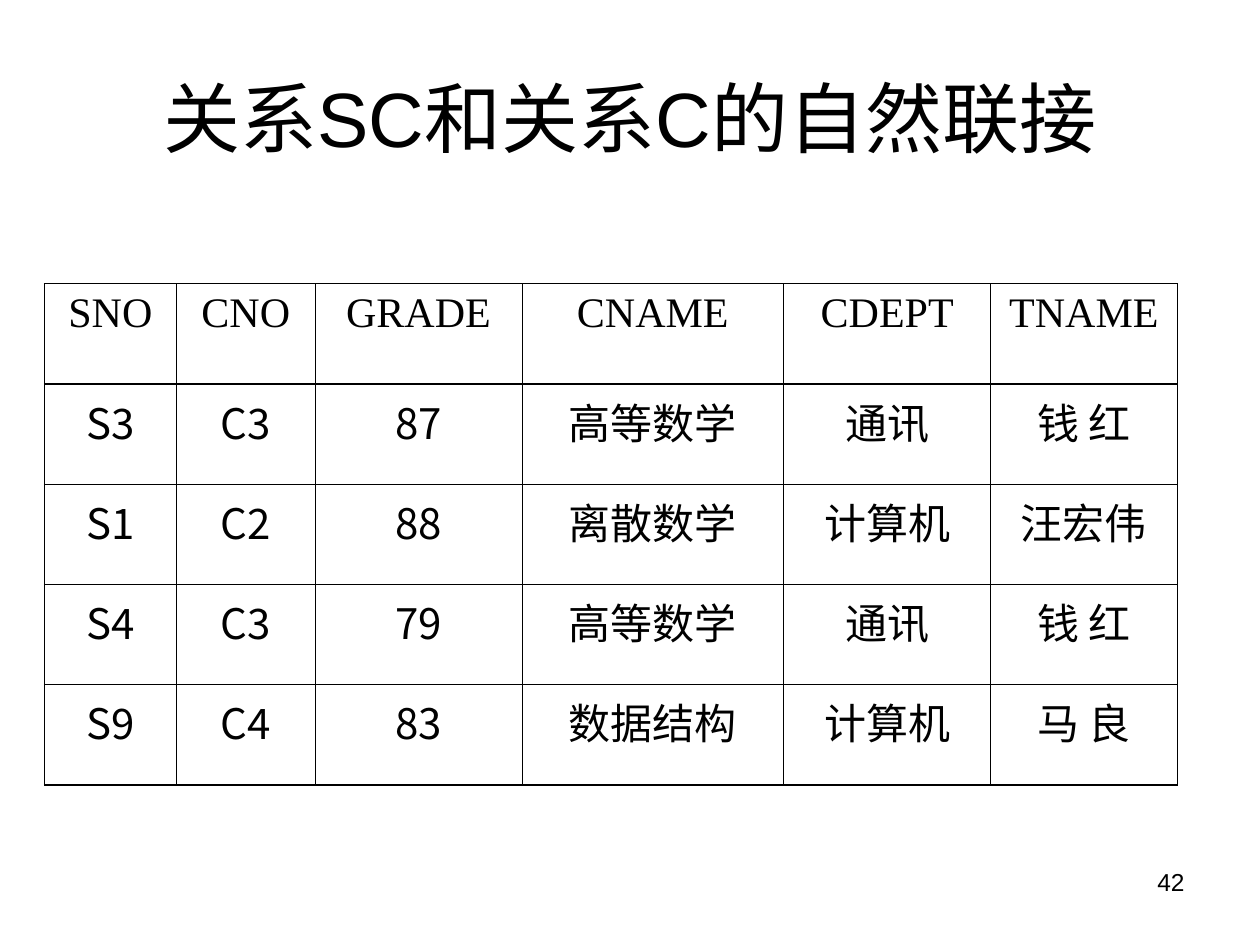
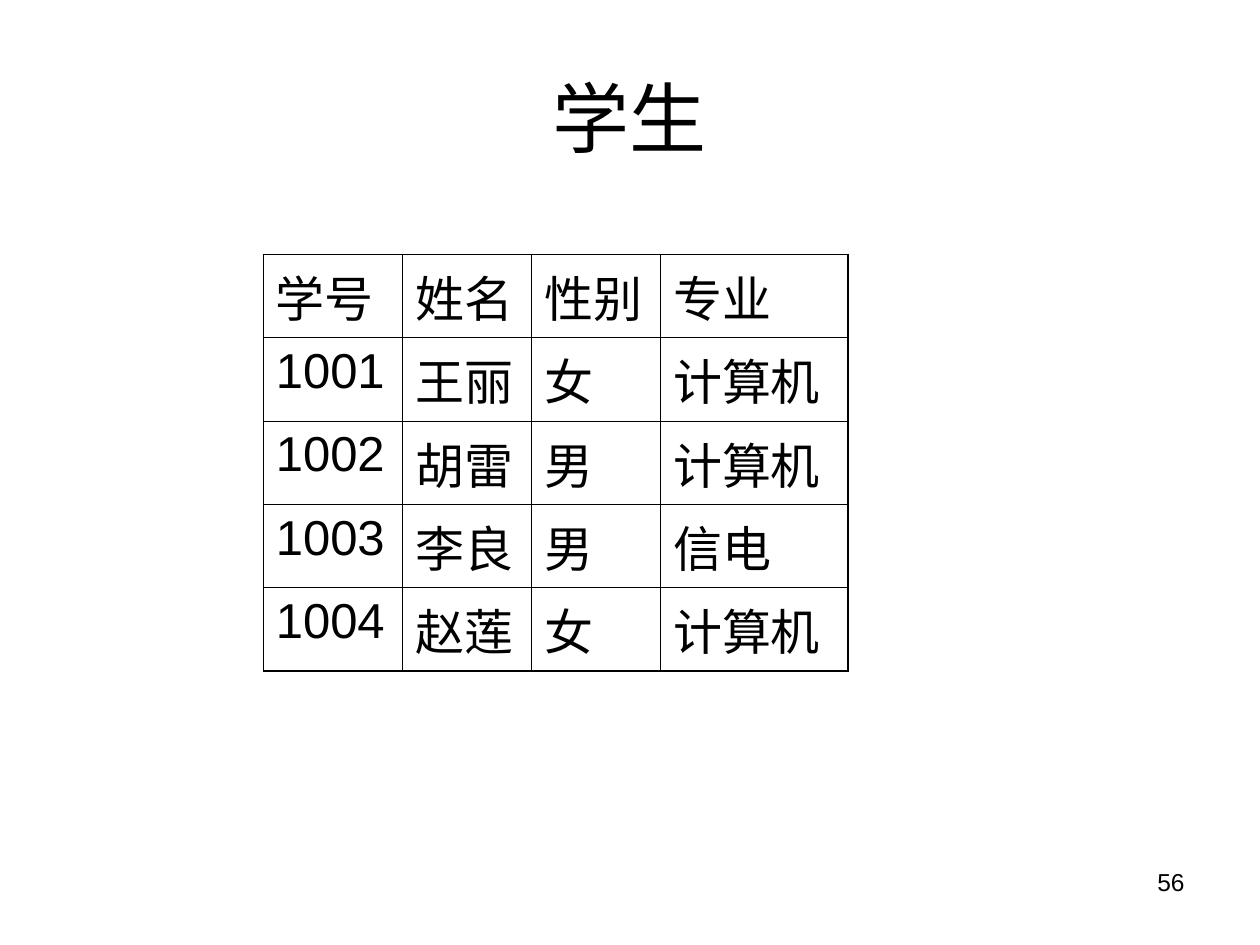
from dataclasses import dataclass
from typing import Any

from lxml import etree
from pptx import Presentation
from pptx import util as u
from pptx.dml.color import RGBColor
from pptx.enum import text
from pptx.oxml import ns

BLACK = RGBColor(0, 0, 0)
WHITE = RGBColor(255, 255, 255)
ARIAL = "Arial"
TIMES = "Times New Roman"
NOTO = "Noto Sans CJK SC"
LEFT = text.PP_ALIGN.LEFT
CENTER = text.PP_ALIGN.CENTER
RIGHT = text.PP_ALIGN.RIGHT
TOP = text.MSO_ANCHOR.TOP
MIDDLE = text.MSO_ANCHOR.MIDDLE
MARGINS = {
    "margin_left": u.Cm(0.25),
    "margin_right": u.Cm(0.25),
    "margin_top": u.Cm(0.13),
    "margin_bottom": u.Cm(0.13),
}
THIN = 0.45


@dataclass(frozen=True)
class Label:
    left: float
    top: float
    width: float
    height: float
    size: int
    align: Any
    anchor: Any


@dataclass(frozen=True)
class Borders:
    side: float
    top: float
    bottom: float
    under_header: float
    corner_top: float


@dataclass(frozen=True)
class Relation:
    title: str
    number: str
    left: float
    top: float
    row_height: float
    widths: tuple[float, ...]
    rows: tuple[tuple[str, ...], ...]
    size: int
    align: Any
    header_font: str
    body_fonts: tuple[str, ...]
    borders: Borders


TITLE = Label(1.27, 0.76, 22.86, 3.18, 44, CENTER, MIDDLE)
NUMBER = Label(18.21, 17.35, 5.92, 1.32, 14, RIGHT, TOP)

RELATIONS = (
    Relation(
        title="关系SC和关系C的自然联接",
        number="42",
        left=0.89,
        top=5.72,
        row_height=2.02,
        widths=(2.67, 2.79, 4.17, 5.28, 4.17, 3.76),
        rows=(
            ("SNO", "CNO", "GRADE", "CNAME", "CDEPT", "TNAME"),
            ("S3", "C3", "87", "高等数学", "通讯", "钱 红"),
            ("S1", "C2", "88", "离散数学", "计算机", "汪宏伟"),
            ("S4", "C3", "79", "高等数学", "通讯", "钱 红"),
            ("S9", "C4", "83", "数据结构", "计算机", "马 良"),
        ),
        size=24,
        align=CENTER,
        header_font=TIMES,
        body_fonts=(NOTO, NOTO, NOTO, TIMES, TIMES, NOTO),
        borders=Borders(0.34, 0.96, 0.96, 0.96, 0.96),
    ),
    Relation(
        title="学生",
        number="56",
        left=5.31,
        top=5.13,
        row_height=1.68,
        widths=(2.81, 2.6, 2.6, 3.78),
        rows=(
            ("学号", "姓名", "性别", "专业"),
            ("1001", "王丽", "女", "计算机"),
            ("1002", "胡雷", "男", "计算机"),
            ("1003", "李良", "男", "信电"),
            ("1004", "赵莲", "女", "计算机"),
        ),
        size=28,
        align=LEFT,
        header_font=ARIAL,
        body_fonts=(ARIAL,) * 4,
        borders=Borders(1.08, 1.08, 1.08, THIN, THIN),
    ),
)


def set_all(obj: Any, values: dict[str, Any]) -> None:
    for name, value in values.items():
        setattr(obj, name, value)


def write(tf: Any, content: str, size: int, font: str, align: Any) -> None:
    p = tf.paragraphs[0]
    p.alignment = align
    r = p.add_run()
    r.text = content
    set_all(r.font, {"size": u.Pt(size), "name": font, "bold": False})
    r.font.color.rgb = BLACK
    ea = etree.SubElement(r.font._element, ns.qn("a:ea"))
    ea.set("typeface", NOTO)


def add_label(s: Any, label: Label, content: str) -> None:
    box = (label.left, label.top, label.width, label.height)
    tf = s.shapes.add_textbox(*map(u.Cm, box)).text_frame
    set_all(tf, MARGINS | {"word_wrap": True, "vertical_anchor": label.anchor})
    write(tf, content, label.size, ARIAL, label.align)


def draw_borders(cell: Any, widths: dict[str, float]) -> None:
    tc_pr = cell._tc.get_or_add_tcPr()
    for side, width in widths.items():
        ln = etree.SubElement(tc_pr, ns.qn(f"a:ln{side}"), w=str(u.Pt(width)))
        fill = etree.SubElement(ln, ns.qn("a:solidFill"))
        etree.SubElement(fill, ns.qn("a:srgbClr"), val=str(BLACK))


def border_widths(rel: Relation, row: int, col: int) -> dict[str, float]:
    b = rel.borders
    last_row, last_col = len(rel.rows) - 1, len(rel.widths) - 1
    tops = {0: b.top if col else b.corner_top, 1: b.under_header}
    bottoms = {0: b.under_header, last_row: b.bottom}
    return {
        "L": b.side if col == 0 else THIN,
        "R": b.side if col == last_col else THIN,
        "T": tops.get(row, THIN),
        "B": bottoms.get(row, THIN),
    }


def add_relation(s: Any, rel: Relation) -> None:
    height = rel.row_height * len(rel.rows)
    box = (rel.left, rel.top, sum(rel.widths), height)
    sp = s.shapes.add_table(len(rel.rows), len(rel.widths), *map(u.Cm, box))
    table = sp.table
    set_all(table, {"first_row": False, "horz_banding": False})
    for column, width in zip(table.columns, rel.widths):
        column.width = u.Cm(width)
    for i, values in enumerate(rel.rows):
        table.rows[i].height = u.Cm(rel.row_height)
        for j, value in enumerate(values):
            cell = table.cell(i, j)
            set_all(cell, MARGINS | {"vertical_anchor": TOP})
            draw_borders(cell, border_widths(rel, i, j))
            cell.fill.background()
            font = rel.body_fonts[j] if i else rel.header_font
            write(cell.text_frame, value, rel.size, font, rel.align)


def add_relation_slide(prs: Any, rel: Relation) -> None:
    s = prs.slides.add_slide(prs.slide_layouts[6])
    s.background.fill.solid()
    s.background.fill.fore_color.rgb = WHITE
    add_label(s, NUMBER, rel.number)
    add_label(s, TITLE, rel.title)
    add_relation(s, rel)


def main() -> None:
    prs = Presentation()
    set_all(prs, {"slide_width": u.Cm(25.4), "slide_height": u.Cm(19.05)})
    for rel in RELATIONS:
        add_relation_slide(prs, rel)
    prs.save("out.pptx")


if __name__ == "__main__":
    main()
